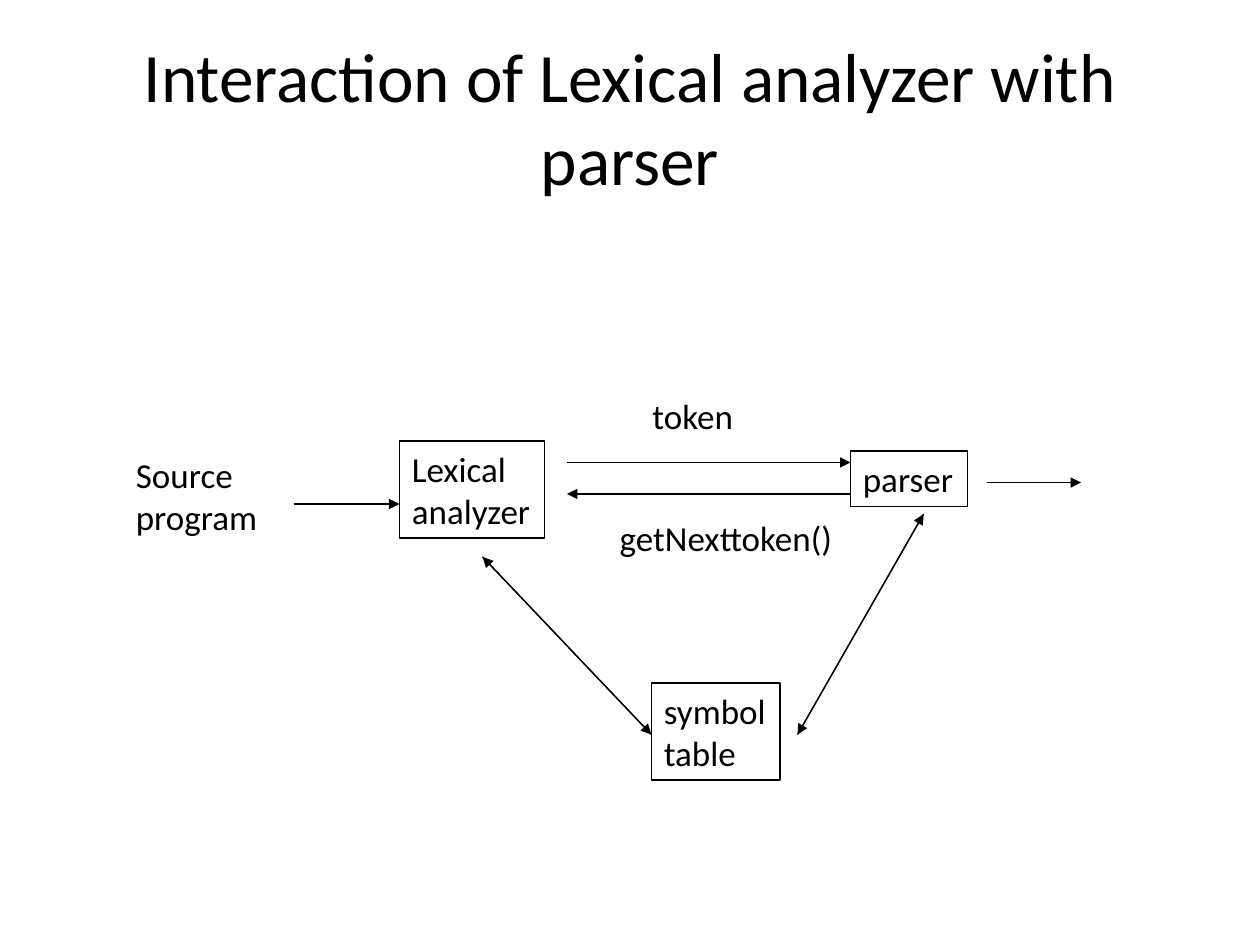
from pptx import Presentation
from pptx.dml.color import RGBColor
from pptx.enum.shapes import MSO_CONNECTOR as CONNECTOR, MSO_SHAPE as SHAPE
from pptx.enum.text import MSO_ANCHOR as ANCHOR, MSO_AUTO_SIZE as AUTO_SIZE, PP_ALIGN as ALIGN
from pptx.oxml.ns import qn
from pptx.util import Inches, Pt
from lxml.etree import SubElement


def color(hex_text):
    return RGBColor.from_string(hex_text)


class Diagram:
    """Draws black-on-white diagram elements on one slide."""

    font = "Calibri"
    ink = "000000"
    line_width = 0.75
    text_size = 20

    def __init__(self, deck):
        self.page = deck.slides.add_slide(deck.slide_layouts[6])

    def set_text(self, box, text, size, align=ALIGN.LEFT):
        box.text_frame.text = text
        for para in box.text_frame.paragraphs:
            para.alignment = align
            for span in para.runs:
                span.font.name = self.font
                span.font.size = Pt(size)
                span.font.color.rgb = color(self.ink)

    def title(self, text, left, top, width, height):
        box = self.page.shapes.add_textbox(*map(Inches, (left, top, width, height)))
        box.text_frame.word_wrap = True
        box.text_frame.vertical_anchor = ANCHOR.MIDDLE
        self.set_text(box, text, 39.6, ALIGN.CENTER)

    def fit(self, box, text):
        self.set_text(box, text, self.text_size)
        box.text_frame.word_wrap = False
        box.text_frame.auto_size = AUTO_SIZE.SHAPE_TO_FIT_TEXT
        box.text_frame.vertical_anchor = ANCHOR.TOP

    def label(self, text, left, top, width, height):
        box = self.page.shapes.add_textbox(*map(Inches, (left, top, width, height)))
        self.fit(box, text)

    def node(self, text, left, top, width, height):
        box = self.page.shapes.add_shape(
            SHAPE.RECTANGLE, *map(Inches, (left, top, width, height)))
        box.shadow.inherit = False
        box.fill.background()
        box.line.color.rgb = color(self.ink)
        box.line.width = Pt(self.line_width)
        self.fit(box, text)

    def arrow(self, start, end):
        connector = self.page.shapes.add_connector(
            CONNECTOR.STRAIGHT, *map(Inches, (*start, *end)))
        connector.line.color.rgb = color(self.ink)
        connector.line.width = Pt(self.line_width)
        properties = connector._element.spPr
        SubElement(properties.find(qn("a:ln")), qn("a:tailEnd"), type="triangle")
        SubElement(properties, qn("a:effectLst"))

    def exchange(self, first, second):
        self.arrow(first, second)
        self.arrow(second, first)


def main():
    deck = Presentation()
    deck.slide_width, deck.slide_height = Inches(10), Inches(7.5)
    diagram = Diagram(deck)

    diagram.title("Interaction of Lexical analyzer with parser", 0.5, 0.3, 9, 1.25)

    diagram.node("Lexical\nanalyzer", 3.17, 3.5, 1.15, 0.77)
    diagram.node("symbol\ntable", 5.17, 5.42, 1.02, 0.77)
    diagram.node("parser", 6.75, 3.58, 0.93, 0.44)

    diagram.label("Source\nprogram", 0.98, 3.55, 1.17, 0.77)
    diagram.label("token", 5.08, 3.08, 0.85, 0.44)
    diagram.label("getNexttoken()", 4.82, 4.05, 1.91, 0.44)

    diagram.arrow((2.33, 4), (3.17, 4))
    diagram.arrow((4.5, 3.67), (6.75, 3.67))
    diagram.arrow((6.75, 3.92), (4.5, 3.92))
    diagram.arrow((7.83, 3.83), (8.58, 3.83))
    diagram.exchange((3.83, 4.42), (5.17, 5.83))
    diagram.exchange((6.33, 5.83), (7.33, 4.08))

    deck.save("out.pptx")


if __name__ == "__main__":
    main()
